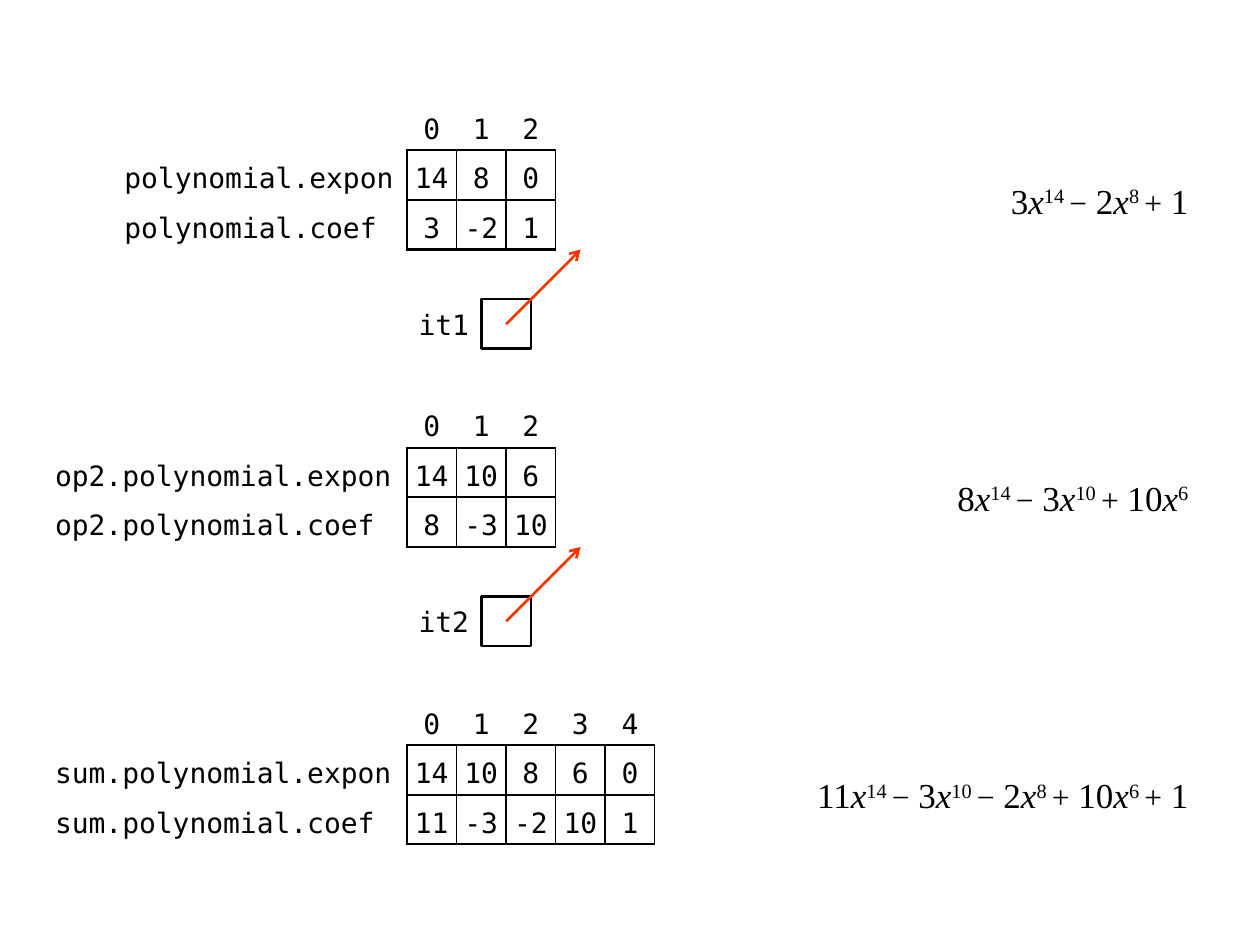
from dataclasses import dataclass

from lxml import etree
from pptx import Presentation
from pptx.dml.color import RGBColor
from pptx.enum.shapes import MSO_CONNECTOR, MSO_SHAPE
from pptx.enum.text import MSO_ANCHOR, PP_ALIGN
from pptx.oxml.ns import qn
from pptx.util import Inches, Pt

LINE = MSO_CONNECTOR.STRAIGHT
RECT = MSO_SHAPE.RECTANGLE
MIDDLE = MSO_ANCHOR.MIDDLE
LEFT, CENTER, RIGHT = PP_ALIGN.LEFT, PP_ALIGN.CENTER, PP_ALIGN.RIGHT
MONO, SERIF = "DejaVu Sans Mono", "Times New Roman"
BLACK, WHITE, RED = "000000", "FFFFFF", "FF3300"
UNIT = 1 / 2.54
GRID_X = 3.23
EDGE_X = 9.53


@dataclass
class Poly:
    top: float
    name: str
    span: int
    inset: float
    expon: list[str]
    coef: list[str]
    terms: str
    width: int
    iter: str = ""


POLYS = [
    Poly(0.8, "polynomial", 6, 0.12, ["14", "8", "0"], ["3", "-2", "1"],
         "3|x|14 |−| 2|x|8 |+| 1", 5, "it1"),
    Poly(3.16, "op2.polynomial", 7.5, 0.16, ["14", "10", "6"], ["8", "-3", "10"],
         "8|x|14 |−| 3|x|10 |+| 10|x|6", 6, "it2"),
    Poly(5.52, "sum.polynomial", 7.5, 0.16,
         ["14", "10", "8", "6", "0"], ["11", "-3", "-2", "10", "1"],
         "11|x|14 |−| 3|x|10 |−| 2|x|8 |+| 10|x|6 |+| 1", 9),
]


def color(code: str) -> RGBColor:
    return RGBColor.from_string(code)


def style(font, face: str, size: float) -> None:
    font.name = face
    font.size = Pt(size)
    font.color.rgb = color(BLACK)


def border(cell, sides: dict[str, float]) -> None:
    props = cell._tc.get_or_add_tcPr()
    for side in "LRTB":
        width = sides.get(side, 0)
        line = etree.SubElement(props, qn(f"a:ln{side}"), w=str(Pt(width)))
        if width:
            fill = etree.SubElement(line, qn("a:solidFill"))
            etree.SubElement(fill, qn("a:srgbClr"), val=BLACK)
        else:
            etree.SubElement(line, qn("a:noFill"))


def fill_cell(cell, text: str, row: int, col: int, inset: float) -> None:
    label = col == 0
    if row and label:
        sides = {"R": 1.5}
    elif row:
        sides = {"L": 1.5 if col == 1 else 1, "R": 1, "T": 1.5, "B": 1.5}
    else:
        sides = {} if label else {"B": 1.5}
    border(cell, sides)
    cell.fill.background()
    cell.vertical_anchor = MIDDLE
    cell.margin_top = cell.margin_bottom = 0
    cell.margin_left = Inches(inset if label else 0)
    cell.margin_right = Inches(0.1 if label else 0)
    cell.text_frame.text = text
    para = cell.text_frame.paragraphs[0]
    para.alignment = LEFT if label else CENTER
    para.line_spacing = 1.25
    style(para.font, MONO, 16)
    for run in para.runs:
        style(run.font, MONO, 16)


def draw_table(slide, poly: Poly) -> None:
    count = len(poly.expon)
    rows = [
        ["", *map(str, range(count))],
        [f"{poly.name}.expon", *poly.expon],
        [f"{poly.name}.coef", *poly.coef],
    ]
    span = poly.span * UNIT
    table = slide.shapes.add_table(
        3, count + 1, Inches(GRID_X - span), Inches(poly.top),
        Inches(span + count * UNIT), Inches(3 * UNIT)).table
    table.first_row = table.horz_banding = False
    for index, column in enumerate(table.columns):
        column.width = Inches(UNIT if index else span)
    for r, texts in enumerate(rows):
        table.rows[r].height = Inches(UNIT)
        for c, text in enumerate(texts):
            fill_cell(table.cell(r, c), text, r, c, poly.inset)


def add_text(slide, x: float, y: float, width: float, inset: float):
    box = slide.shapes.add_textbox(Inches(x), Inches(y), Inches(width), Inches(UNIT))
    frame = box.text_frame
    frame.word_wrap = True
    frame.vertical_anchor = MIDDLE
    frame.margin_top = frame.margin_bottom = 0
    frame.margin_left, frame.margin_right = Inches(inset), Inches(0.1)
    para = frame.paragraphs[0]
    para.alignment = RIGHT
    return para


def draw_terms(slide, poly: Poly) -> None:
    width = poly.width * UNIT
    para = add_text(slide, EDGE_X - width, poly.top + 1.5 * UNIT, width, 0.1)
    last = ""
    for text in poly.terms.split("|"):
        run = para.add_run()
        run.text = text
        style(run.font, SERIF, 18 if text in "−+" else 20)
        run.font.italic = text == "x"
        if last == "x":
            run.font._element.set("baseline", "30000")
        last = text


def draw_iter(slide, poly: Poly) -> None:
    x, y = GRID_X + 1.5 * UNIT, poly.top + 4 * UNIT
    box = slide.shapes.add_shape(RECT, Inches(x), Inches(y), Inches(UNIT), Inches(UNIT))
    box.shadow.inherit = False
    box.fill.solid()
    box.fill.fore_color.rgb = color(WHITE)
    box.line.color.rgb = color(BLACK)
    box.line.width = Pt(1.5)

    arrow = slide.shapes.add_connector(
        LINE, Inches(x + UNIT / 2), Inches(y + UNIT / 2),
        Inches(x + 2 * UNIT), Inches(y - UNIT))
    arrow.line.color.rgb = color(RED)
    arrow.line.width = Pt(1.5)
    etree.SubElement(arrow.line._get_or_add_ln(), qn("a:tailEnd"), type="arrow")
    etree.SubElement(arrow._element.spPr, qn("a:effectLst"))

    para = add_text(slide, GRID_X, y, 1.5 * UNIT, 0.08)
    para.text = poly.iter
    style(para.runs[0].font, MONO, 16)


def main() -> None:
    deck = Presentation()
    deck.slide_width, deck.slide_height = Inches(10), Inches(7.5)
    slide = deck.slides.add_slide(deck.slide_layouts[6])
    for poly in POLYS:
        draw_terms(slide, poly)
    for poly in POLYS:
        draw_table(slide, poly)
    for poly in POLYS:
        if poly.iter:
            draw_iter(slide, poly)
    deck.save("out.pptx")


if __name__ == "__main__":
    main()
